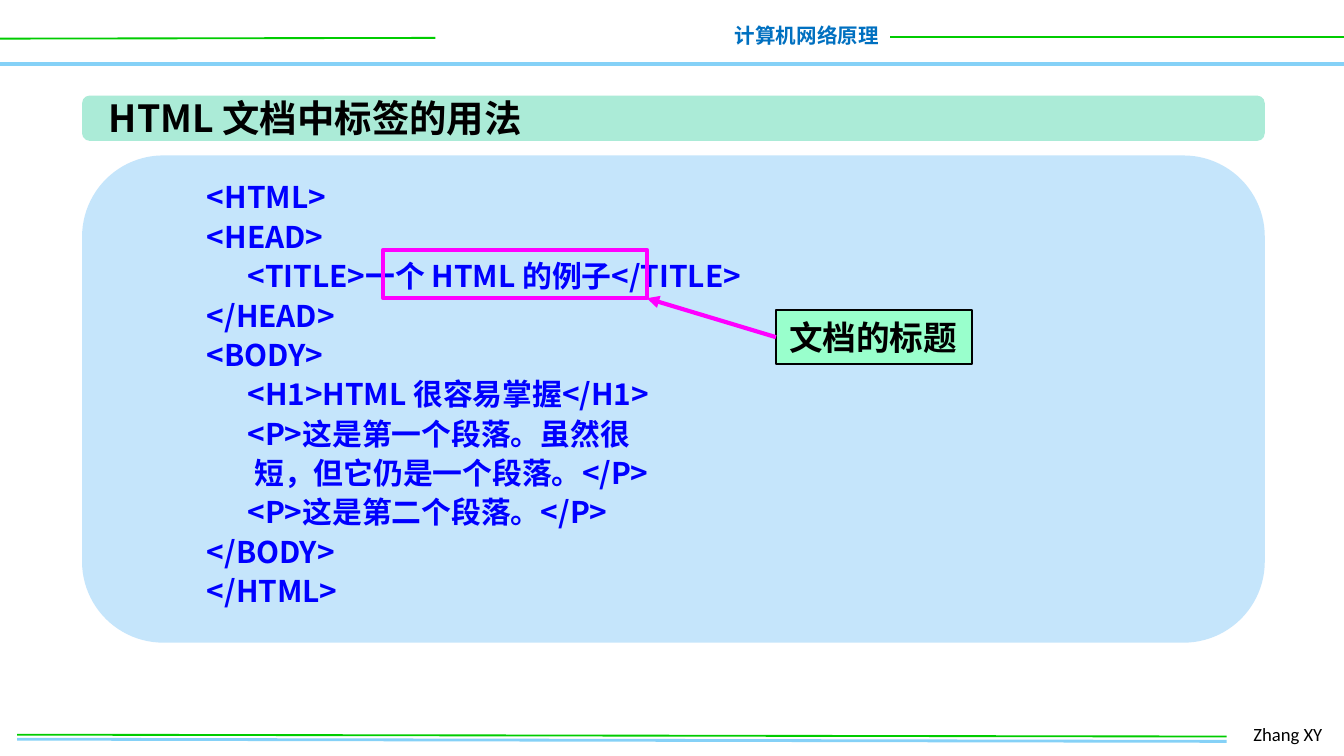
from lxml.etree import SubElement
from pptx import Presentation
from pptx.dml.color import RGBColor
from pptx.enum.shapes import MSO_CONNECTOR as Connector, MSO_SHAPE as Shape
from pptx.enum.text import MSO_ANCHOR as Anchor, PP_ALIGN as Align
from pptx.oxml.ns import qn
from pptx.util import Pt

COLORS = {
    "sky": "85D1F7", "green": "00CC00", "course": "0070C0", "black": "000000",
    "panel": "C5E5FB", "title": "ABEBD7", "code": "0000FF",
    "note": "99FFCC", "accent": "FF00FF",
}
CJK = "Noto Sans CJK SC"
CODE = """<HTML>
<HEAD>
      <TITLE>一个 HTML 的例子</TITLE>
</HEAD>
<BODY>
      <H1>HTML 很容易掌握</H1>
      <P>这是第一个段落。虽然很
       短，但它仍是一个段落。</P>
      <P>这是第二个段落。</P>
</BODY>
</HTML>"""


def rgb(name):
    return RGBColor.from_string(COLORS[name])


def write(shape, text, size=16, color="black", font=CJK, bold=True,
          align=Align.LEFT, wrap=False, spacing=None, anchor=Anchor.TOP):
    """Fill a shape with one paragraph for each line of text."""
    frame = shape.text_frame
    frame.word_wrap = wrap
    frame.vertical_anchor = anchor
    for index, line in enumerate(text.split("\n")):
        para = frame.add_paragraph() if index else frame.paragraphs[0]
        para.alignment = align
        para.line_spacing = spacing
        span = para.add_run()
        span.text = line
        span.font.size = Pt(size)
        span.font.bold = bold
        span.font.color.rgb = rgb(color)
        span.font.name = font
        SubElement(span.font._element, qn("a:ea"), typeface=font)


def add_text(page, box, text, **style):
    write(page.shapes.add_textbox(*map(Pt, box)), text, **style)


def add_block(page, box, kind=Shape.RECTANGLE, fill=None, line=None, width=1):
    block = page.shapes.add_shape(kind, *map(Pt, box))
    block.shadow.inherit = False
    if fill:
        block.fill.solid()
        block.fill.fore_color.rgb = rgb(fill)
    else:
        block.fill.background()
    if line:
        block.line.color.rgb = rgb(line)
        block.line.width = Pt(width)
    else:
        block.line.fill.background()
    return block


def add_line(page, start, end, color, width=1, arrow=False):
    line = page.shapes.add_connector(Connector.STRAIGHT, *map(Pt, (*start, *end)))
    line.line.color.rgb = rgb(color)
    line.line.width = Pt(width)
    if arrow:
        SubElement(line.line._get_or_add_ln(), qn("a:tailEnd"), type="triangle")
    SubElement(line._element.spPr, qn("a:effectLst"))


def add_header(page, box):
    left, top, width, height = box
    right, bottom = left + width, top + height
    add_line(page, (left, bottom), (right, bottom), "sky", 2)
    add_line(page, (left, top + 20.7), (left + 233.3, top + 20.3), "green")
    add_text(page, (left + 386, top + 8.6, 92, 21), "计算机网络原理",
             size=11, color="course", align=Align.RIGHT)
    add_line(page, (left + 476.8, top + 19.7), (right, top + 19.7), "green")


def add_footer(page, box):
    left, top, width, height = box
    rule_end = left + 648
    add_line(page, (left, top + 12.2), (rule_end, top + 13.4), "sky", 1.5)
    add_text(page, (left + 655.2, top, width - 655.2, height), "Zhang XY",
             size=10, font="Calibri", bold=False, wrap=True)
    add_line(page, (left, top + 9.8), (rule_end, top + 10.8), "green")


def add_title(page, box):
    left, top, width, height = box
    bar = add_block(page, box, Shape.ROUNDED_RECTANGLE, "title")
    bar.adjustments[0] = 0.17
    add_text(page, (left + 7.2, top - 3.6, 243.4, 31.7),
             "HTML 文档中标签的用法", size=20)


def add_code_panel(page, box):
    left, top, width, height = box
    add_block(page, box, Shape.ROUNDED_RECTANGLE, "panel")
    add_text(page, (left + 59.8, top + 7.2, 373.7, 242), CODE,
             color="code", wrap=True, spacing=1.1)


def add_callout(page, note_box, target_box):
    """Frame the target and point at its lower right corner from the note."""
    left, top, width, height = target_box
    note = add_block(page, note_box, fill="note", line="black")
    write(note, "文档的标题", size=18, anchor=Anchor.MIDDLE)
    add_line(page, (note_box[0], note_box[1] + note_box[3] / 2),
             (left + width, top + height), "accent", 2.25, arrow=True)
    add_block(page, target_box, line="accent", width=2.25)


def main():
    deck = Presentation()
    deck.slide_width, deck.slide_height = Pt(720), Pt(405)
    page = deck.slides.add_slide(deck.slide_layouts[6])
    add_header(page, (0, 0, 720, 34.2))
    add_footer(page, (9.2, 383.8, 708.4, 19.4))
    add_code_panel(page, (44, 83.3, 633.6, 261))
    add_title(page, (44, 51.2, 633.6, 24.3))
    add_callout(page, (415.7, 166.2, 105.1, 28.9), (205.3, 133.9, 141.2, 25.9))
    deck.save("out.pptx")


if __name__ == "__main__":
    main()
